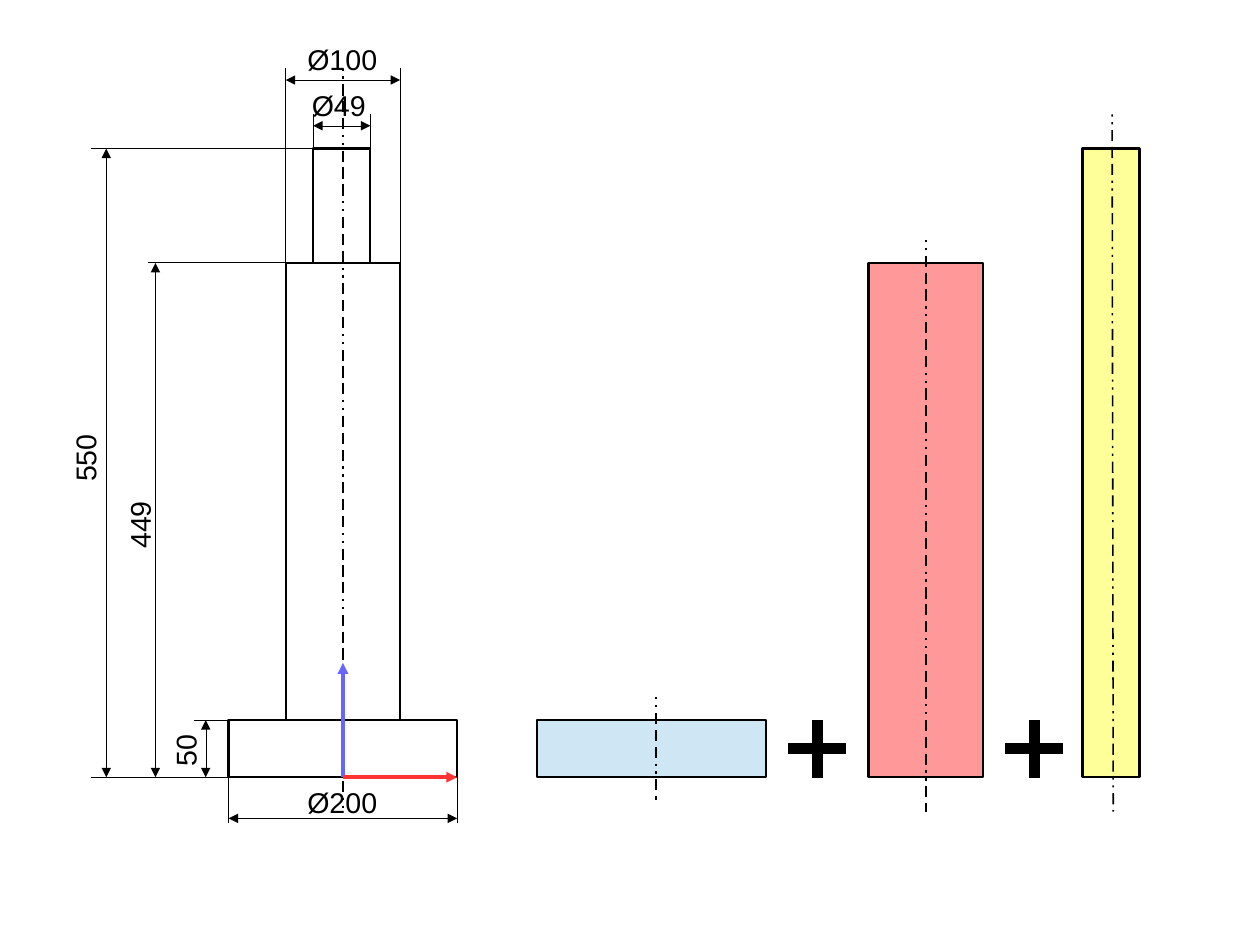
from lxml import etree
from pptx import Presentation, util as u
from pptx.dml.color import RGBColor
from pptx.enum import shapes as sh, text as tx
from pptx.oxml.ns import qn

CELL = 0.1  # grid pitch in inches; every place below is in columns and rows
BLACK = "000000"
BASE, TOP, STEP, FOOT = 68, 13, 23, 63  # rows of the part's levels
AXIS = 30  # column of the part's axis


def grid(*vals):
    return [u.Inches(v * CELL) for v in vals]


def color(code):
    return RGBColor.from_string(code)


class Sketch:
    def __init__(self, slide):
        self.items = slide.shapes
        self.font = {"size": u.Pt(18), "name": "Arial"}
        self.bold, self.thin, self.hair, self.axle = 1.5, 1, 0.01, 2.3

    def block(self, x, y, w, h, fill=None, kind="RECTANGLE", width=None):
        item = self.items.add_shape(getattr(sh.MSO_SHAPE, kind), *grid(x, y, w, h))
        item.shadow.inherit = False
        if fill:
            item.fill.solid()
            item.fill.fore_color.rgb = color(fill)
        else:
            item.fill.background()
        item.line.color.rgb = color(BLACK)
        item.line.width = u.Pt(width or self.bold)
        return item

    def plus(self, x):
        cross = self.block(x, FOOT, 5, 5, BLACK, "CROSS", self.hair)
        cross.adjustments[0] = 0.41

    def line(self, x1, y1, x2, y2, width=None, ink=BLACK, ends=()):
        item = self.items.add_connector(sh.MSO_CONNECTOR.STRAIGHT, *grid(x1, y1, x2, y2))
        item.line.color.rgb = color(ink)
        item.line.width = u.Pt(width or self.hair)
        pen = item.line._get_or_add_ln()
        for end in ends:
            etree.SubElement(pen, qn(f"a:{end}"), type="triangle")
        etree.SubElement(item._element.spPr, qn("a:effectLst"))
        return item

    def center(self, x1, y1, x2, y2):
        """Draw a centre line of two dots and three dashes."""
        item = self.line(x1, y1, x2, y2, self.thin)
        dash = etree.SubElement(item.line._get_or_add_ln(), qn("a:custDash"))
        for size in (140000,) * 2 + (710000,) * 3:
            etree.SubElement(dash, qn("a:ds"), d=str(size), sp="360000")

    def span(self, *ends):
        """Draw a dimension line with an arrowhead at both ends."""
        self.line(*ends, ends=("headEnd", "tailEnd"))

    def across(self, left, right, start, end, row):
        """Dimension a width, with extension lines from start to end."""
        for col in (left, right):
            self.line(col, start, col, end)
        self.span(left, row, right, row)

    def label(self, words, x, y, w, turn=0, wrap=False):
        box = self.items.add_textbox(*grid(x, y, w, 3.8))
        box.rotation = turn
        frame = box.text_frame
        frame.word_wrap = wrap
        frame.auto_size = tx.MSO_AUTO_SIZE.SHAPE_TO_FIT_TEXT
        run = frame.paragraphs[0].add_run()
        run.text = words
        for key, val in self.font.items():
            setattr(run.font, key, val)
        run.font.color.rgb = color(BLACK)

    def arrow(self, base, x, y, ink):
        item = self.line(AXIS, BASE, x, y, self.axle, ink, ["tailEnd"])
        item.begin_connect(base, 2)


def main():
    deck = Presentation()
    deck.slide_width, deck.slide_height = u.Mm(280), u.Mm(210)
    art = Sketch(deck.slides.add_slide(deck.slide_layouts[6]))

    # Stepped part with its axis
    base = art.block(20, FOOT, 20, BASE - FOOT)
    art.block(25, STEP, 10, FOOT - STEP)
    art.block(27.4, TOP, 5, STEP - TOP)
    art.center(AXIS, 6, AXIS, 71)

    # Heights
    art.line(20, BASE, 8, BASE)
    for row, start, end, col in ((TOP, 27.4, 8, 9.3), (STEP, 25, 13, 13.6), (FOOT, 20, 17, 18)):
        art.line(start, row, end, row)
        art.span(col, BASE, col, row)
    art.label("50", 13.4, 63.4, 5.4, 270, True)
    art.label("449", 8.6, 43.6, 7, 270, True)
    art.label("550", 4.1, 38, 6.5, 270, True)

    # Diameters
    art.across(27.4, 32.4, TOP, 10, 11)
    art.across(25, 35, STEP, 6, 7)
    art.across(20, 40, BASE, 72, 71.6)
    art.label("Ø49", 26.3, 7.2, 6.7)
    art.label("Ø100", 25.9, 3.2, 8.1)
    art.label("Ø200", 25.9, 68.2, 8.1)

    # Origin
    art.arrow(base, AXIS, 58, "6666FF")
    art.arrow(base, 40, BASE, "FF3333")

    # Sum of three cylinders
    for x, top, w, fill in ((47, FOOT, 20, "CFE7F5"), (76, STEP, 10, "FF9999"),
                            (94.7, TOP, 5, "FFFF99")):
        art.block(x, top, w, BASE - top, fill)
    for x in (69, 88):
        art.plus(x)
    for ends in ((57.4, 61, 57.4, 70), (81, 21, 81, 71), (97.3, 10, 97.4, 71)):
        art.center(*ends)

    deck.save("out.pptx")


if __name__ == "__main__":
    main()
